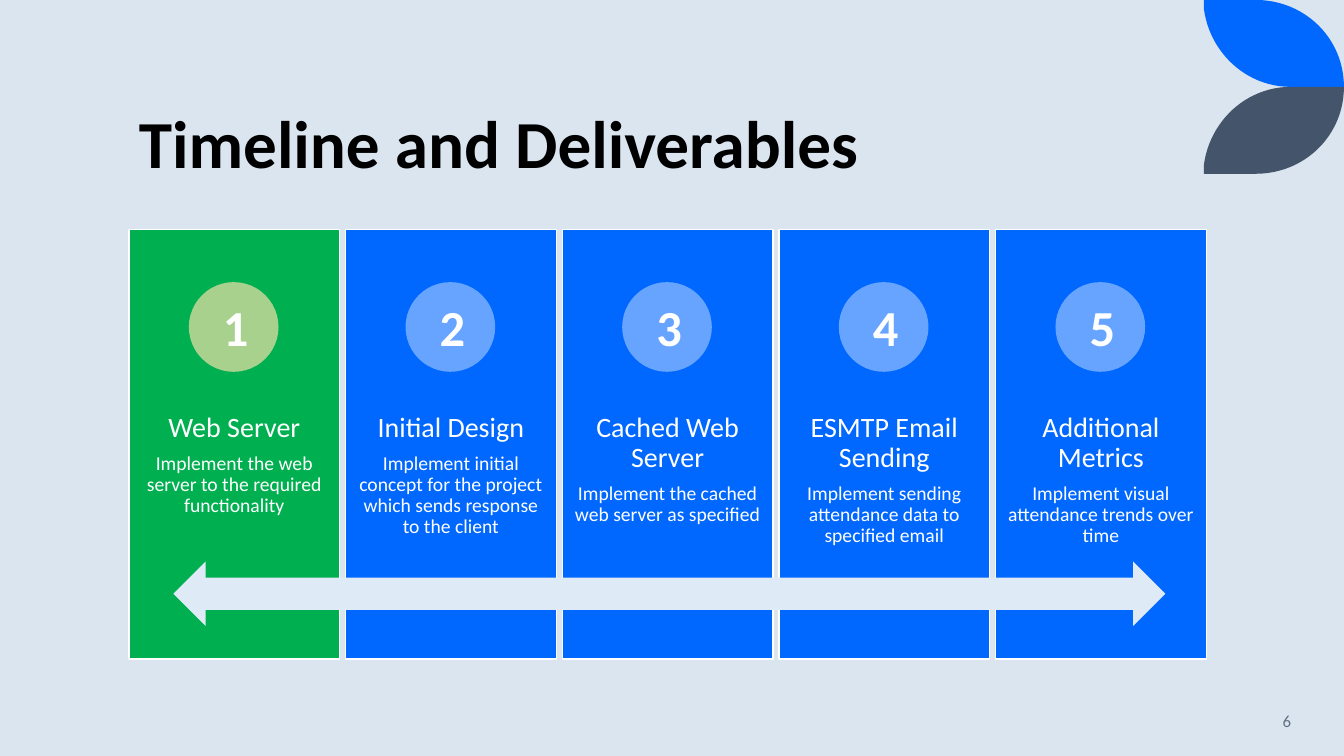
"""Builds the project timeline slide with five numbered deliverables."""
from dataclasses import dataclass
from typing import Any

from pptx import Presentation
from pptx import util as u
from pptx.dml.color import RGBColor
from pptx.enum import shapes, text

PALE = RGBColor(0xDA, 0xE5, 0xEF)
BLUE = RGBColor(0x00, 0x68, 0xFF)
SLATE = RGBColor(0x44, 0x54, 0x6A)
GREEN = RGBColor(0x00, 0xB0, 0x50)
LIGHT_GREEN = RGBColor(0xA9, 0xD1, 0x8E)
LIGHT_BLUE = RGBColor(0x66, 0xA4, 0xFF)
ARROW_BLUE = RGBColor(0xDE, 0xEB, 0xF7)
GREY = RGBColor(0x63, 0x71, 0x83)
WHITE = RGBColor(0xFF, 0xFF, 0xFF)
BLACK = RGBColor(0x00, 0x00, 0x00)

FONT = "Calibri"
FIRST_LEFT, PITCH, PANEL_WIDTH = 3.25, 5.46, 5.31
LEAF_LEFT, LEAF_WIDTH, LEAF_HEIGHT = 30.34, 3.53, 2.19
CURVE_STEPS = 24

Point = tuple[float, float]


@dataclass(frozen=True)
class Box:
    """Position and size in centimetres."""
    left: float
    top: float
    width: float
    height: float

    def lengths(self) -> tuple[u.Cm, ...]:
        """Return the box as lengths."""
        return tuple(u.Cm(v) for v in (self.left, self.top, self.width, self.height))


@dataclass(frozen=True)
class Deliverable:
    """One step of the timeline."""
    heading: str
    detail: str
    panel: RGBColor = BLUE
    badge: RGBColor = LIGHT_BLUE


@dataclass(frozen=True)
class Line:
    """One paragraph with its look."""
    words: str
    size: int
    colour: RGBColor = WHITE
    bold: bool = False
    align: Any = text.PP_ALIGN.CENTER
    spacing: float = 1.0
    after: float = 0


DELIVERABLES = (
    Deliverable("Web Server", "Implement the web server to the required functionality",
                GREEN, LIGHT_GREEN),
    Deliverable("Initial Design",
                "Implement initial concept for the project which sends response to the client"),
    Deliverable("Cached Web Server", "Implement the cached web server as specified"),
    Deliverable("ESMTP Email Sending", "Implement sending attendance data to specified email"),
    Deliverable("Additional Metrics", "Implement visual attendance trends over time"),
)


def apply(target: Any, values: dict[str, Any]) -> None:
    """Set each named attribute on the target."""
    for name, value in values.items():
        setattr(target, name, value)


def write(frame: Any, lines: list[Line], anchor: Any, inset: Point = (0.25, 0.13)) -> None:
    """Fill a text frame with formatted paragraphs."""
    side, edge = map(u.Cm, inset)
    apply(frame, {"word_wrap": True, "vertical_anchor": anchor,
                  "auto_size": text.MSO_AUTO_SIZE.NONE,
                  "margin_left": side, "margin_right": side,
                  "margin_top": edge, "margin_bottom": edge})
    for index, line in enumerate(lines):
        paragraph = frame.add_paragraph() if index else frame.paragraphs[0]
        apply(paragraph, {"alignment": line.align, "line_spacing": line.spacing,
                          "space_before": u.Pt(0), "space_after": u.Pt(line.after)})
        run = paragraph.add_run()
        run.text = line.words
        apply(run.font, {"name": FONT, "size": u.Pt(line.size), "bold": line.bold})
        run.font.color.rgb = line.colour


def paint(shape: Any, fill: RGBColor, outline: RGBColor | None = None) -> None:
    """Give a shape a flat fill and an optional thin outline."""
    shape.shadow.inherit = False
    shape.fill.solid()
    shape.fill.fore_color.rgb = fill
    if outline is None:
        shape.line.fill.background()
    else:
        shape.line.color.rgb = outline
        shape.line.width = u.Pt(1)


def add_label(slide: Any, box: Box, lines: list[Line], anchor: Any = text.MSO_ANCHOR.TOP,
              inset: Point = (0.25, 0.13)) -> None:
    """Add a text box."""
    write(slide.shapes.add_textbox(*box.lengths()).text_frame, lines, anchor, inset)


def add_preset(slide: Any, kind: Any, box: Box, fill: RGBColor,
               outline: RGBColor | None = None) -> None:
    """Add a painted preset shape."""
    paint(slide.shapes.add_shape(kind, *box.lengths()), fill, outline)


def curve(a: Point, b: Point, c: Point, d: Point) -> list[Point]:
    """Return points along a cubic curve."""
    points = []
    for step in range(CURVE_STEPS + 1):
        t = step / CURVE_STEPS
        weights = ((1 - t) ** 3, 3 * t * (1 - t) ** 2, 3 * t * t * (1 - t), t ** 3)
        points.append((sum(w * p[0] for w, p in zip(weights, (a, b, c, d))),
                       sum(w * p[1] for w, p in zip(weights, (a, b, c, d)))))
    return points


def add_leaf(slide: Any, base: float, direction: int, fill: RGBColor) -> None:
    """Add a corner leaf growing down or up from its flat edge."""
    outer = curve((0.37, 0), (0.72, 0), (1, 0.44), (1, 1))
    inner = curve((0.62, 1), (0.3, 1), (0.04, 0.6), (0, 0.1))
    outline = [(u.Cm(LEAF_LEFT + x * LEAF_WIDTH), u.Cm(base + direction * y * LEAF_HEIGHT))
               for x, y in [(0, 0), *outer, *inner]]
    builder = slide.shapes.build_freeform(*outline[0])
    builder.add_line_segments(outline[1:], close=True)
    paint(builder.convert_to_shape(), fill)


def add_deliverable(slide: Any, index: int, item: Deliverable) -> None:
    """Add one panel with its badge, number, heading and detail."""
    left = FIRST_LEFT + index * PITCH
    add_preset(slide, shapes.MSO_SHAPE.RECTANGLE,
               Box(left, 5.79, PANEL_WIDTH, 10.82), item.panel, WHITE)
    add_label(slide, Box(left, 10.13, PANEL_WIDTH, 4.32),
              [Line(item.heading, 20, spacing=0.9, after=7),
               Line(item.detail, 14, spacing=0.9, after=2)], inset=(0.28, 0.28))
    add_preset(slide, shapes.MSO_SHAPE.OVAL, Box(left + 1.51, 7.11, 2.26, 2.26), item.badge)
    add_label(slide, Box(left + 2.12, 7.32, 0.97, 1.8), [Line(str(index + 1), 36, bold=True)])


def main() -> None:
    """Build and save the slide."""
    deck = Presentation()
    apply(deck, {"slide_width": u.Cm(33.87), "slide_height": u.Cm(19.05)})
    slide = deck.slides.add_slide(deck.slide_layouts[5])
    slide.background.fill.solid()
    slide.background.fill.fore_color.rgb = PALE

    add_leaf(slide, 0, 1, BLUE)
    add_leaf(slide, 2 * LEAF_HEIGHT, -1, SLATE)

    title = slide.shapes.title
    apply(title, dict(zip(("left", "top", "width", "height"),
                          Box(FIRST_LEFT, 0.38, 27.15, 4.37).lengths())))
    write(title.text_frame, [Line("Timeline and Deliverables", 48, BLACK, True,
                                  text.PP_ALIGN.LEFT, 0.9)], text.MSO_ANCHOR.BOTTOM)

    for index, item in enumerate(DELIVERABLES):
        add_deliverable(slide, index, item)
    add_preset(slide, shapes.MSO_SHAPE.LEFT_RIGHT_ARROW, Box(4.37, 14.15, 25, 1.63), ARROW_BLUE)
    add_label(slide, Box(28.19, 17.65, 4.6, 1.02),
              [Line("6", 12, GREY, align=text.PP_ALIGN.RIGHT)], text.MSO_ANCHOR.MIDDLE)
    deck.save("out.pptx")


if __name__ == "__main__":
    main()
